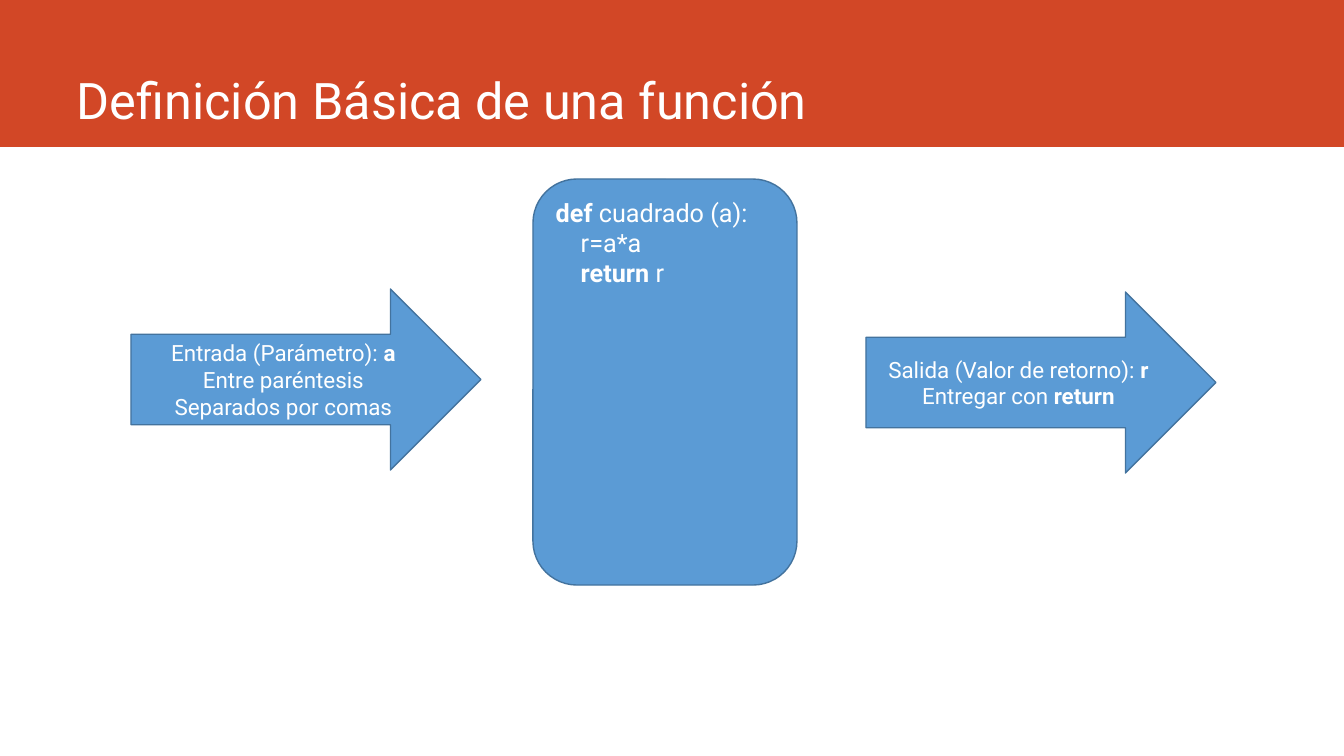
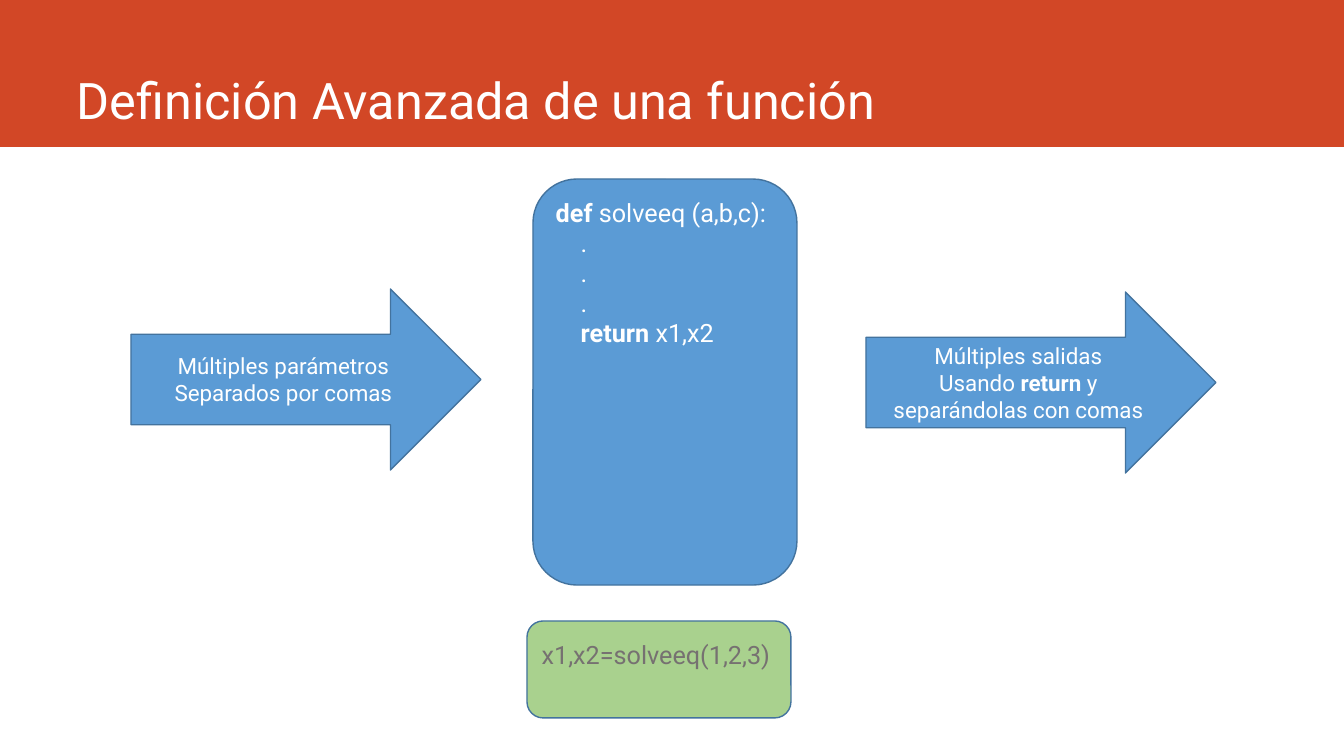
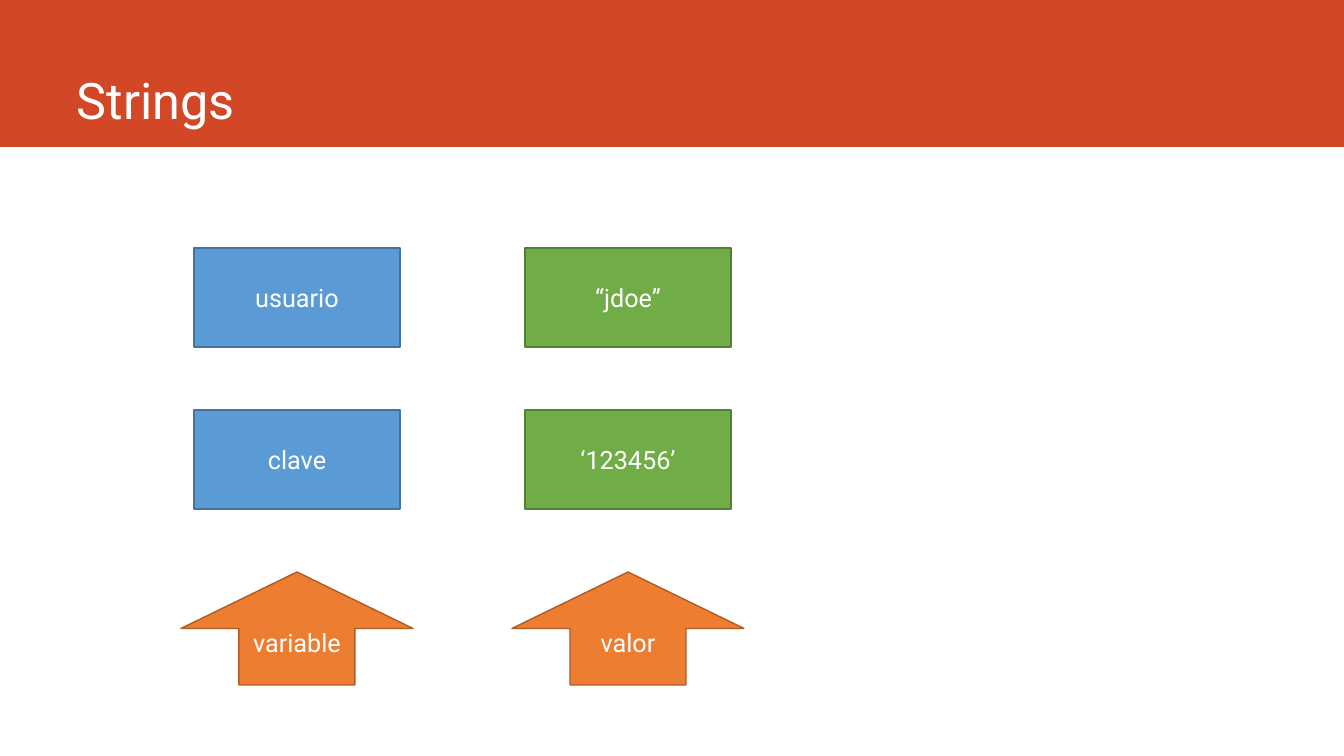
from pptx import Presentation
from pptx.dml.color import RGBColor
from pptx.enum.shapes import MSO_SHAPE as SHAPE
from pptx.enum.text import MSO_ANCHOR as ANCHOR, PP_ALIGN as ALIGN
from pptx.util import Pt

# Content: ** switches bold on and off
FUNCTIONS = [
    {
        "title": "Definición Básica de una función",
        "code": ["**def** cuadrado (a):", "r=a*a", "**return** r"],
        "input": ["Entrada (Parámetro): **a**", "Entre paréntesis", "Separados por comas"],
        "output": ["Salida (Valor de retorno): **r**", "Entregar con **return**"],
    },
    {
        "title": "Definición Avanzada de una función",
        "code": ["**def** solveeq (a,b,c):", ".", ".", ".", "**return** x1,x2"],
        "input": ["Múltiples parámetros", "Separados por comas"],
        "output": ["Múltiples salidas", "Usando **return** y separándolas con comas"],
        "call": "x1,x2=solveeq(1,2,3)",
    },
]
STRINGS_TITLE = "Strings"
STRINGS = [  # heading, cells, style
    ("variable", ["usuario", "clave"], "blue"),
    ("valor", ["“jdoe”", "‘123456’"], "green"),
]

COLORS = {"band": "D24726", "white": "FFFFFF", "gray": "767171"}
STYLES = {  # fill, line
    "blue": ("5B9BD5", "43739E"),
    "green": ("70AD47", "538035"),
    "light": ("A9D18E", "43739E"),
    "orange": ("ED7D31", "AF5C24"),
}
FONT = "Roboto"

# Layout in px
PX = 9071.43  # EMU per px
SLIDE_W, SLIDE_H = 1344, 756
BAND = (0, 0, SLIDE_W, 147)
TITLE = (67, 0, 1185, 135)
CODE = (533, 179, 264, 406)
INPUT = (131, 289, 350, 181)
OUTPUT = (866, 292, 350, 181)
CALL = (527, 621, 264, 97)
CODE_INDENT = 25
CALL_BOTTOM = 35
GRID_X, GRID_Y, COL_STEP, ROW_STEP = 194, 248, 331, 162
CELL_W, CELL_H = 206, 99
HEAD_W, HEAD_H = 232, 113


def px(n):
    return round(n * PX)


def rgb(value):
    return RGBColor.from_string(value)


def write(sp, lines, size=18, color="white", align=ALIGN.CENTER,
          anchor=ANCHOR.MIDDLE, indent=0):
    """Fill a shape with lines; those after the first are indented."""
    tf = sp.text_frame
    tf.word_wrap = True
    tf.vertical_anchor = anchor
    for i, line in enumerate(lines):
        p = tf.add_paragraph() if i else tf.paragraphs[0]
        p.alignment = align
        if i and indent:
            p._p.get_or_add_pPr().set("marL", str(px(indent)))
        for j, part in enumerate(line.split("**")):
            if not part:
                continue
            r = p.add_run()
            r.text = part
            font = {"name": FONT, "size": Pt(size), "bold": j % 2 == 1}
            for key, value in font.items():
                setattr(r.font, key, value)
            r.font.color.rgb = rgb(COLORS[color])


def add_box(slide, kind, box, fill, line=None):
    sp = slide.shapes.add_shape(kind, *map(px, box))
    sp.shadow.inherit = False
    sp.fill.solid()
    sp.fill.fore_color.rgb = rgb(fill)
    if line:
        sp.line.color.rgb = rgb(line)
        sp.line.width = Pt(1)
    else:
        sp.line.fill.background()
    return sp


def add_slide(prs, title):
    """Blank slide with the shared band and title."""
    slide = prs.slides.add_slide(prs.slide_layouts[6])
    add_box(slide, SHAPE.RECTANGLE, BAND, COLORS["band"])
    sp = slide.shapes.add_textbox(*map(px, TITLE))
    write(sp, [title], size=36, align=ALIGN.LEFT, anchor=ANCHOR.BOTTOM)
    return slide


def function_slide(prs, data):
    slide = add_slide(prs, data["title"])
    # Function body
    sp = add_box(slide, SHAPE.ROUNDED_RECTANGLE, CODE, *STYLES["blue"])
    write(sp, data["code"], align=ALIGN.LEFT, anchor=ANCHOR.TOP, indent=CODE_INDENT)
    # Input and output arrows
    for key, box in (("input", INPUT), ("output", OUTPUT)):
        sp = add_box(slide, SHAPE.RIGHT_ARROW, box, *STYLES["blue"])
        write(sp, data[key], size=16)
    # Example call
    if "call" in data:
        sp = add_box(slide, SHAPE.ROUNDED_RECTANGLE, CALL, *STYLES["light"])
        write(sp, [data["call"]], color="gray", align=ALIGN.LEFT)
        sp.text_frame.margin_bottom = px(CALL_BOTTOM)


def strings_slide(prs):
    slide = add_slide(prs, STRINGS_TITLE)
    for col, (heading, cells, style) in enumerate(STRINGS):
        x = GRID_X + col * COL_STEP
        for row, text in enumerate(cells):
            box = (x, GRID_Y + row * ROW_STEP, CELL_W, CELL_H)
            write(add_box(slide, SHAPE.RECTANGLE, box, *STYLES[style]), [text])
        # Arrow centred under its column
        box = (x + (CELL_W - HEAD_W) / 2, GRID_Y + len(cells) * ROW_STEP, HEAD_W, HEAD_H)
        write(add_box(slide, SHAPE.UP_ARROW, box, *STYLES["orange"]), [heading])


def main():
    prs = Presentation()
    prs.slide_width, prs.slide_height = px(SLIDE_W), px(SLIDE_H)
    for data in FUNCTIONS:
        function_slide(prs, data)
    strings_slide(prs)
    prs.save("out.pptx")


if __name__ == "__main__":
    main()
